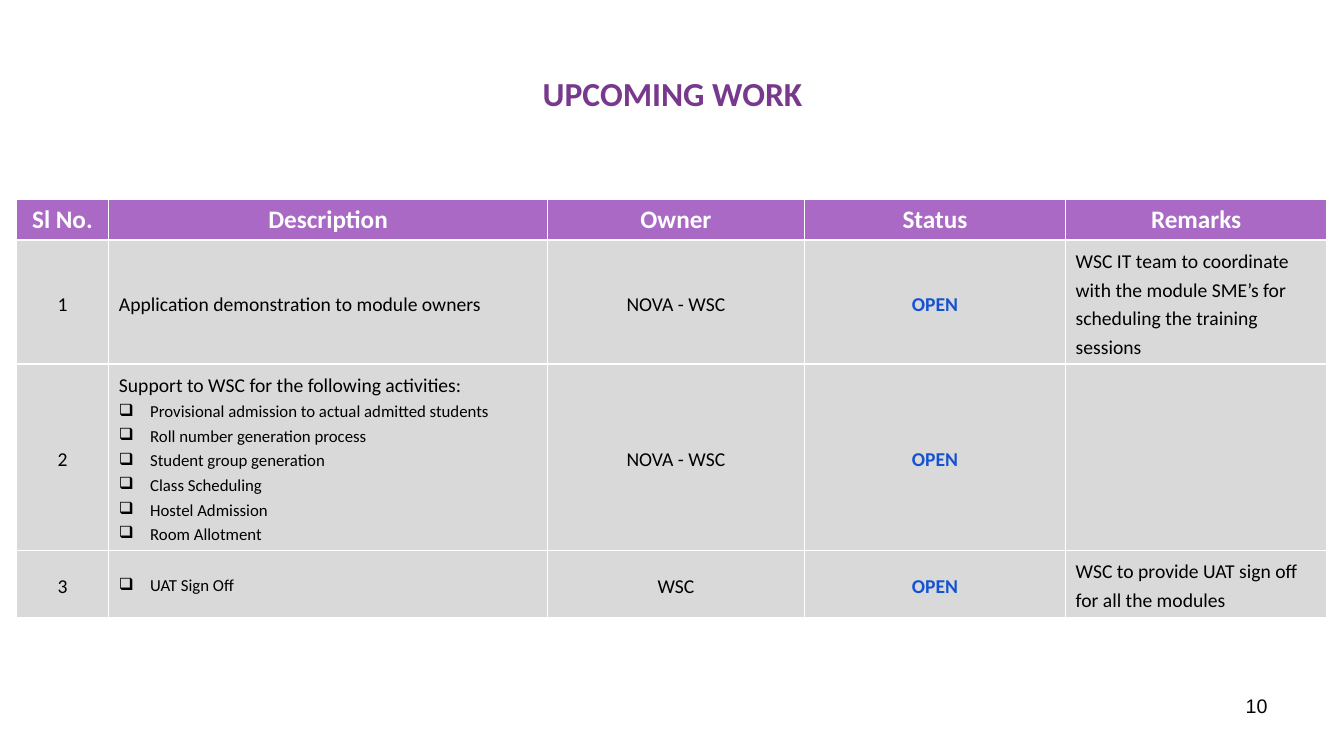
from dataclasses import dataclass

import pptx
import pptx.dml.color
import pptx.enum.text
import pptx.oxml
import pptx.oxml.ns
import pptx.util
from pptx.util import Inches

ALIGN = pptx.enum.text.PP_ALIGN
MIDDLE = pptx.enum.text.MSO_ANCHOR.MIDDLE
TOP = pptx.enum.text.MSO_ANCHOR.TOP
PURPLE, LILAC, GREY = "78398D", "A969C4", "D9D9D9"
BLACK, WHITE, BLUE = "000000", "FFFFFF", "1552D1"


@dataclass
class Task:
    description: str
    activities: list[str]
    owner: str
    status: str
    remarks: str
    height: float


HEADINGS = ["Sl No.", "Description", "Owner", "Status", "Remarks"]
COL_WIDTHS = [0.92, 4.35, 2.55, 2.59, 2.59]
HEADER_HEIGHT = 0.4
TASKS = [
    Task("Application demonstration to module owners", [], "NOVA - WSC", "OPEN",
         "WSC IT team to coordinate with the module SME’s for scheduling "
         "the training sessions", 1.23),
    Task("Support to WSC for the following activities:",
         ["Provisional admission to actual admitted students",
          "Roll number generation process", "Student group generation",
          "Class Scheduling", "Hostel Admission", "Room Allotment"],
         "NOVA - WSC", "OPEN", "", 1.85),
    Task("", ["UAT Sign Off"], "WSC", "OPEN",
         "WSC to provide UAT sign off for all the modules", 0.67),
]


def rgb(value: str) -> pptx.dml.color.RGBColor:
    return pptx.dml.color.RGBColor.from_string(value)


def xml(markup: str):
    return pptx.oxml.parse_xml(markup.replace(" ", f" {pptx.oxml.ns.nsdecls('a')} ", 1))


def write(p, text: str, size: int, color: str, bold: bool = False,
          align=ALIGN.LEFT, font: str = "Calibri") -> None:
    p.text = text
    p.alignment = align
    for r in p.runs:
        r.font.name = font
        r.font.size = pptx.util.Pt(size)
        r.font.bold = bold
        r.font.color.rgb = rgb(color)


def add_bullet(p) -> None:
    pPr = p._p.get_or_add_pPr()
    pPr.set("marL", str(Inches(0.31)))
    pPr.set("indent", str(-Inches(0.31)))
    pPr.append(xml('<a:buChar char="❑"/>'))


def style_cell(cell, fill: str, anchor) -> None:
    tcPr = cell._tc.get_or_add_tcPr()
    for side in ("lnL", "lnR", "lnT", "lnB"):
        tcPr.append(xml(f'<a:{side} w="12700"><a:solidFill><a:srgbClr val="{WHITE}"/>'
                        f'</a:solidFill></a:{side}>'))
    cell.fill.solid()
    cell.fill.fore_color.rgb = rgb(fill)
    cell.vertical_anchor = anchor


def fill_body_cell(cell, text: str, activities: list[str], color: str = BLACK,
                   bold: bool = False, align=ALIGN.LEFT) -> None:
    style_cell(cell, GREY, MIDDLE)
    lines = [(text, False)] if text else []
    lines += [(activity, True) for activity in activities]
    tf = cell.text_frame
    for i, (line, bulleted) in enumerate(lines):
        p = tf.paragraphs[0] if i == 0 else tf.add_paragraph()
        if bulleted:
            add_bullet(p)
        write(p, line, 12 if bulleted else 14, color, bold, align)
        p.line_spacing = 1.2


def add_task_table(s) -> None:
    heights = [HEADER_HEIGHT] + [task.height for task in TASKS]
    table = s.shapes.add_table(len(heights), len(HEADINGS), Inches(0.16), Inches(1.98),
                               Inches(sum(COL_WIDTHS)), Inches(sum(heights))).table
    for col, width in zip(table.columns, COL_WIDTHS):
        col.width = Inches(width)
    for row, height in zip(table.rows, heights):
        row.height = Inches(height)
    for c, heading in enumerate(HEADINGS):
        cell = table.cell(0, c)
        style_cell(cell, LILAC, TOP)
        write(cell.text_frame.paragraphs[0], heading, 18, WHITE, True, ALIGN.CENTER)
    for n, task in enumerate(TASKS, 1):
        fill_body_cell(table.cell(n, 0), str(n), [], align=ALIGN.CENTER)
        fill_body_cell(table.cell(n, 1), task.description, task.activities)
        fill_body_cell(table.cell(n, 2), task.owner, [], align=ALIGN.CENTER)
        fill_body_cell(table.cell(n, 3), task.status, [], BLUE, True, ALIGN.CENTER)
        fill_body_cell(table.cell(n, 4), task.remarks, [])


def main() -> None:
    prs = pptx.Presentation()
    prs.slide_width, prs.slide_height = Inches(13.33), Inches(7.5)
    s = prs.slides.add_slide(prs.slide_layouts[5])

    title = s.shapes.title
    title.left, title.top = Inches(0.67), Inches(0.3)
    title.width, title.height = Inches(12), Inches(1.25)
    title.text_frame.vertical_anchor = MIDDLE
    write(title.text_frame.paragraphs[0], "UPCOMING WORK", 24, PURPLE, True, ALIGN.CENTER)

    number = s.shapes.add_textbox(Inches(9.56), Inches(6.83), Inches(3.11), Inches(0.52))
    number.text_frame.word_wrap = True
    write(number.text_frame.paragraphs[0], "10", 14, BLACK, align=ALIGN.RIGHT, font="Arial")

    add_task_table(s)
    prs.save("out.pptx")


if __name__ == "__main__":
    main()
